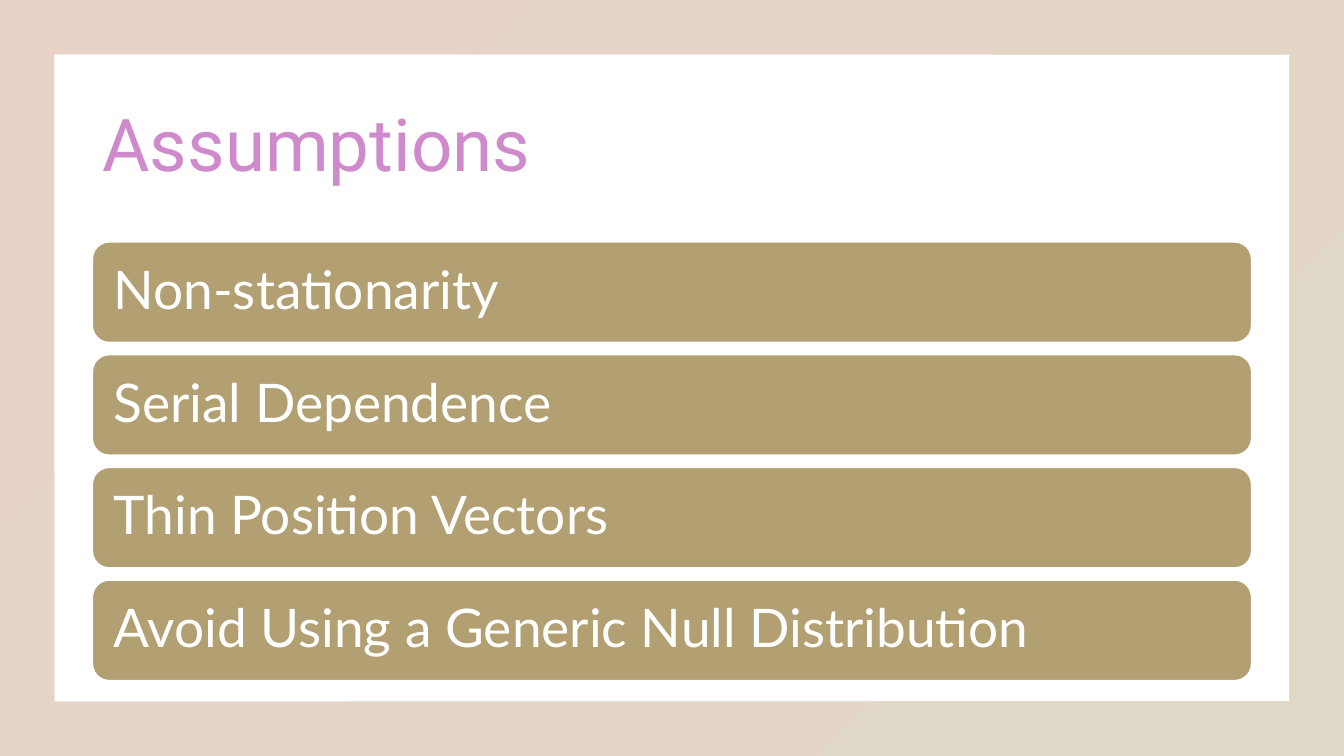
from dataclasses import dataclass

from pptx import Presentation
from pptx.dml.color import RGBColor
from pptx.enum.shapes import MSO_SHAPE
from pptx.enum.text import MSO_ANCHOR, MSO_AUTO_SIZE, PP_ALIGN
from pptx.slide import Slide
from pptx.text.text import TextFrame
from pptx.util import Cm, Pt

FRAME = MSO_SHAPE.FRAME
ROUNDED = MSO_SHAPE.ROUNDED_RECTANGLE
MIDDLE = MSO_ANCHOR.MIDDLE
NO_AUTOFIT = MSO_AUTO_SIZE.NONE
LEFT = PP_ALIGN.LEFT

COLORS = {
    "frame_start": "E8D1C7",
    "frame_end": "E0D9C7",
    "title": "CF8ACC",
    "bar": "B2A072",
    "white": "FFFFFF",
}

SLIDE_WIDTH, SLIDE_HEIGHT = Cm(33.87), Cm(19.05)
CONTENT_LEFT, CONTENT_WIDTH = Cm(2.33), Cm(29.21)
BAR_TOP, BAR_HEIGHT, BAR_PITCH = Cm(6.1), Cm(2.53), Cm(2.84)


@dataclass(frozen=True)
class TextStyle:
    font: str
    size: int
    color: str


TITLE_STYLE = TextStyle("Roboto", 52, "title")
BAR_STYLE = TextStyle("Lato", 38, "white")

ASSUMPTIONS = [
    "Non-stationarity",
    "Serial Dependence",
    "Thin Position Vectors",
    "Avoid Using a Generic Null Distribution",
]


def rgb(name: str) -> RGBColor:
    return RGBColor.from_string(COLORS[name])


def write_text(frame: TextFrame, text: str, style: TextStyle) -> None:
    frame.text = text
    frame.word_wrap = True
    frame.auto_size = NO_AUTOFIT
    frame.vertical_anchor = MIDDLE
    paragraph = frame.paragraphs[0]
    paragraph.alignment = LEFT
    paragraph.line_spacing = 0.9
    paragraph.font.name = style.font
    paragraph.font.size = Pt(style.size)
    paragraph.font.color.rgb = rgb(style.color)


def add_frame(slide: Slide) -> None:
    shape = slide.shapes.add_shape(FRAME, 0, 0, SLIDE_WIDTH, SLIDE_HEIGHT)
    shape.shadow.inherit = False
    shape.adjustments[0] = 0.072
    shape.line.fill.background()
    shape.fill.gradient()
    shape.fill.gradient_angle = 315
    start, end = shape.fill.gradient_stops
    start.color.rgb, start.position = rgb("frame_start"), 0
    end.color.rgb, end.position = rgb("frame_end"), 1


def add_title(slide: Slide, text: str) -> None:
    title = slide.shapes.title
    title.left, title.top = CONTENT_LEFT, Cm(1.88)
    title.width, title.height = CONTENT_WIDTH, Cm(3.68)
    write_text(title.text_frame, text, TITLE_STYLE)


def add_bar(slide: Slide, index: int, text: str) -> None:
    top = BAR_TOP + index * BAR_PITCH
    shape = slide.shapes.add_shape(ROUNDED, CONTENT_LEFT, top, CONTENT_WIDTH, BAR_HEIGHT)
    shape.shadow.inherit = False
    shape.fill.solid()
    shape.fill.fore_color.rgb = rgb("bar")
    shape.line.color.rgb = rgb("white")
    shape.line.width = Pt(1)
    frame = shape.text_frame
    # The rounded corners already inset the text by about 0.12 cm
    frame.margin_left = frame.margin_right = Cm(0.41)
    write_text(frame, text, BAR_STYLE)


def main() -> None:
    presentation = Presentation()
    presentation.slide_width, presentation.slide_height = SLIDE_WIDTH, SLIDE_HEIGHT
    slide = presentation.slides.add_slide(presentation.slide_layouts[5])

    # Border and heading
    add_frame(slide)
    add_title(slide, "Assumptions")

    # Stacked list of assumptions
    for index, text in enumerate(ASSUMPTIONS):
        add_bar(slide, index, text)

    presentation.save("out.pptx")


if __name__ == "__main__":
    main()
